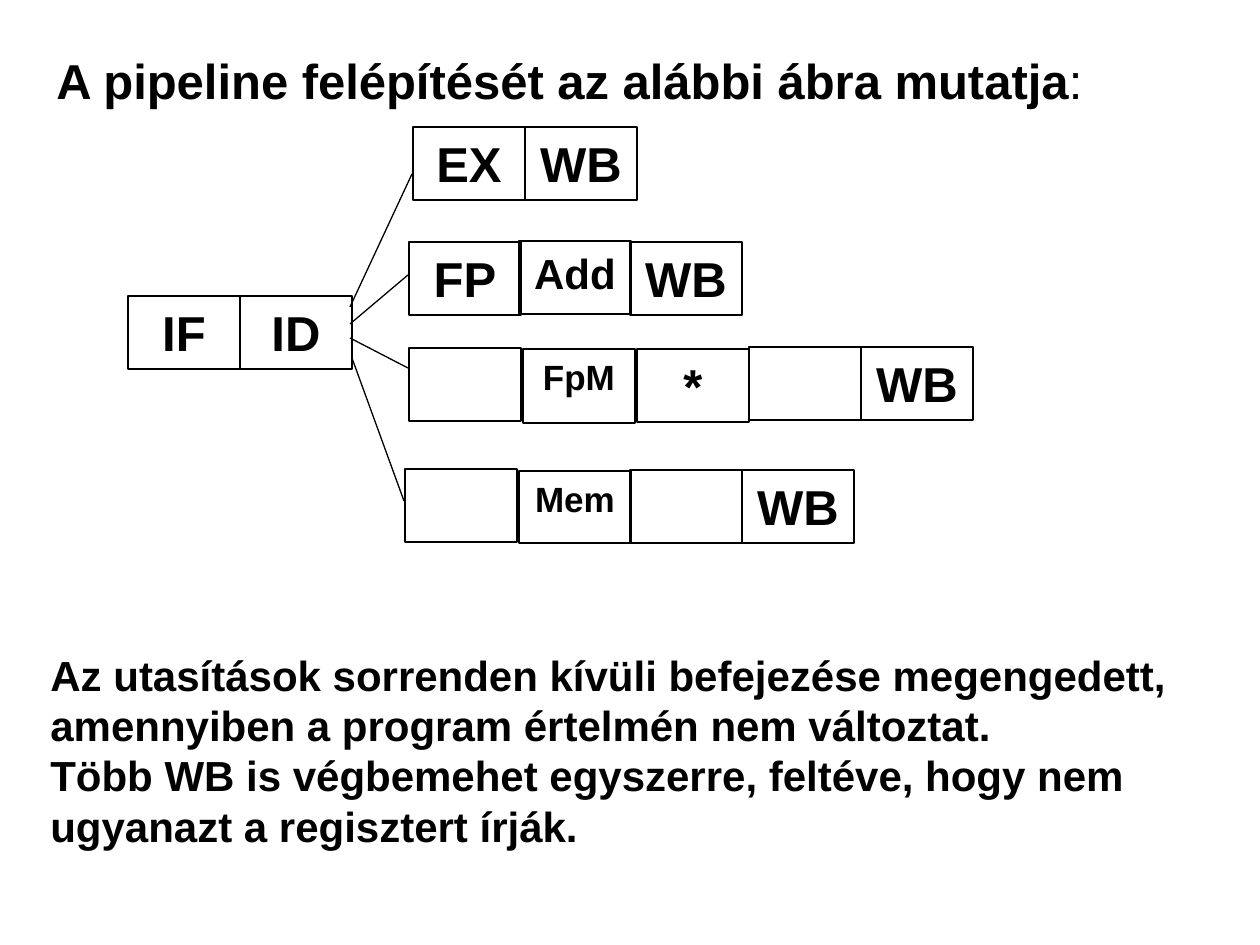
from typing import NamedTuple

from pptx import Presentation
from pptx.dml.color import RGBColor
from pptx.enum import shapes, text
from pptx.oxml.ns import qn
from pptx.util import Emu, Pt

PX = 914400 / 126  # EMU in one px
BLACK = "000000"
STAGE_W, STAGE_H = 112, 73


class Stage(NamedTuple):
    x: int
    y: int
    label: str = ""
    size: int = 28
    h: int = STAGE_H


class Branch(NamedTuple):
    x1: int
    y1: int
    x2: int
    y2: int


class Run(NamedTuple):
    text: str
    size: int
    bold: bool = True


STAGES = [
    # Common front end
    Stage(128, 296, "IF"), Stage(240, 296, "ID"),
    # Integer pipeline
    Stage(413, 127, "EX"), Stage(525, 127, "WB"),
    # Floating-point addition
    Stage(409, 242, "FP"), Stage(519, 241, "Add", 24), Stage(630, 242, "WB"),
    # Floating-point multiplication
    Stage(409, 348), Stage(523, 349, "FpM", 20, 74), Stage(637, 349, "*"),
    Stage(749, 347), Stage(861, 347, "WB"),
    # Memory access
    Stage(405, 469), Stage(519, 471, "Mem", 20, 72), Stage(630, 470),
    Stage(742, 470, "WB"),
]

BRANCHES = [
    Branch(350, 307, 412, 174),
    Branch(350, 324, 408, 275),
    Branch(350, 338, 408, 368),
    Branch(352, 358, 404, 501),
]

TITLE = [[Run("A pipeline felépítését az alábbi ábra mutatja", 28), Run(":", 28, False)]]
NOTES = [
    [Run("Az utasítások sorrenden kívüli befejezése megengedett, "
         "amennyiben a program értelmén nem változtat.", 24)],
    [Run("Több WB is végbemehet egyszerre, feltéve, hogy nem "
         "ugyanazt a regisztert írják.", 24)],
]


def px(n: int) -> Emu:
    return Emu(round(n * PX))


def color(value: str) -> RGBColor:
    return RGBColor.from_string(value)


def write(tf, paragraphs: list[list[Run]], align=text.PP_ALIGN.LEFT) -> None:
    tf.word_wrap = True
    tf.vertical_anchor = text.MSO_ANCHOR.TOP
    for i, runs in enumerate(paragraphs):
        p = tf.add_paragraph() if i else tf.paragraphs[0]
        p.alignment = align
        for run in runs:
            r = p.add_run()
            r.text = run.text
            r.font.name = "Arial"
            r.font.size = Pt(run.size)
            r.font.bold = run.bold
            r.font.color.rgb = color(BLACK)


def add_text(s, x: int, y: int, w: int, h: int, paragraphs: list[list[Run]]) -> None:
    write(s.shapes.add_textbox(px(x), px(y), px(w), px(h)).text_frame, paragraphs)


def add_stage(s, stage: Stage) -> None:
    sp = s.shapes.add_shape(shapes.MSO_SHAPE.RECTANGLE, px(stage.x), px(stage.y),
                            px(STAGE_W), px(stage.h))
    sp.shadow.inherit = False
    sp.fill.background()
    sp.line.color.rgb = color(BLACK)
    sp.line.width = Pt(1)
    if stage.label:
        write(sp.text_frame, [[Run(stage.label, stage.size)]], text.PP_ALIGN.CENTER)


def add_branch(s, b: Branch) -> None:
    line = s.shapes.add_connector(shapes.MSO_CONNECTOR.STRAIGHT,
                                  px(b.x1), px(b.y1), px(b.x2), px(b.y2))
    line.line.color.rgb = color(BLACK)
    line.line.width = Pt(0.75)
    sp_pr = line._element.spPr
    sp_pr.append(sp_pr.makeelement(qn("a:effectLst"), {}))


def main() -> None:
    prs = Presentation()
    prs.slide_width, prs.slide_height = px(1260), px(945)
    s = prs.slides.add_slide(prs.slide_layouts[6])

    # Title
    add_text(s, 44, 44, 1158, 72, TITLE)

    # Pipeline diagram
    for stage in STAGES:
        add_stage(s, stage)
    for branch in BRANCHES:
        add_branch(s, branch)

    # Explanation
    add_text(s, 38, 643, 1158, 214, NOTES)

    prs.save("out.pptx")


if __name__ == "__main__":
    main()
